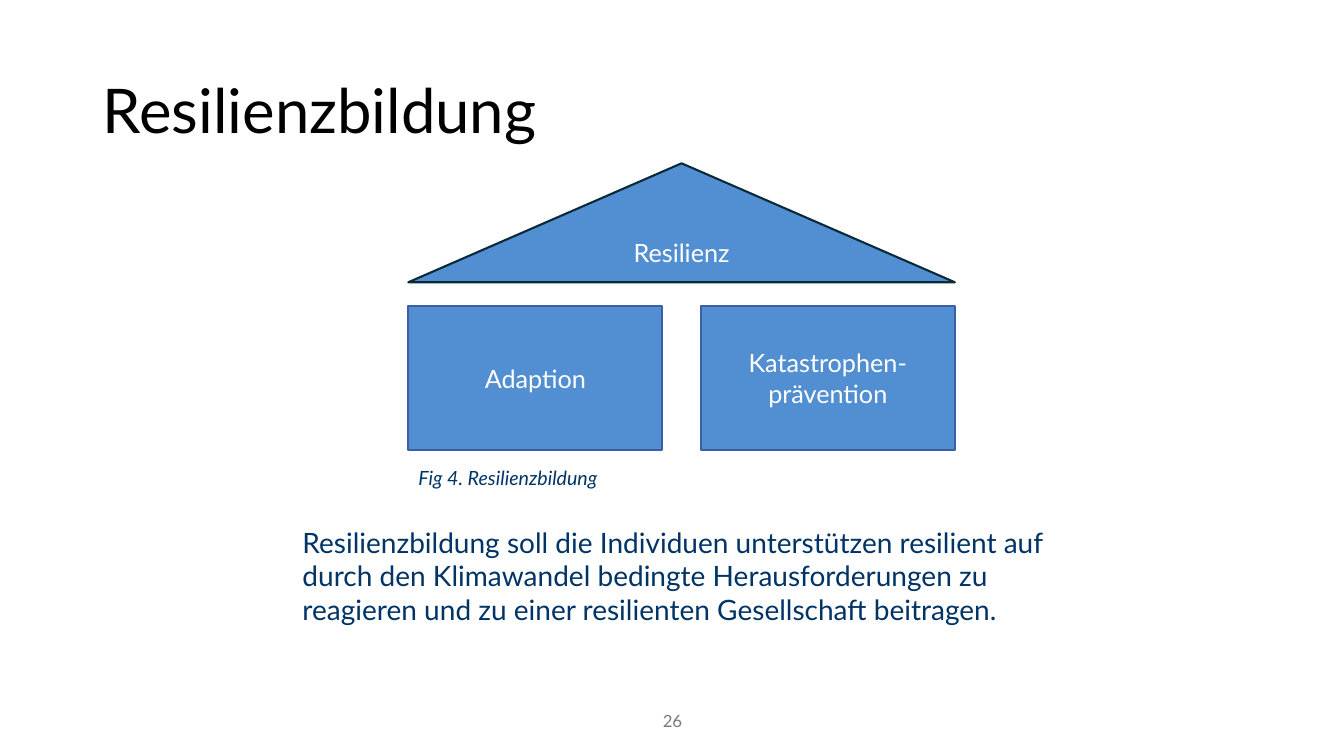
import pptx
import pptx.util
import pptx.dml.color
import pptx.enum.shapes
import pptx.enum.text

Inches = pptx.util.Inches
Pt = pptx.util.Pt
KIND = pptx.enum.shapes.MSO_SHAPE
ALIGN = pptx.enum.text.PP_ALIGN
ANCHOR = pptx.enum.text.MSO_ANCHOR

HUES = {
    "black": "000000", "white": "FFFFFF", "navy": "003366", "gray": "797979",
    "blue": "518FD2", "edge": "3C5EA6", "dark": "092A39",
}
FONT = "Lato"
BODY = (
    "Resilienzbildung soll die Individuen unterstützen resilient auf "
    "durch den Klimawandel bedingte Herausforderungen zu reagieren "
    "und zu einer resilienten Gesellschaft beitragen."
)
TEXTS = [
    ("Resilienzbildung", (0.92, 0.4, 11.5, 1.45), 44, "black", ALIGN.LEFT, ANCHOR.MIDDLE),
    (BODY, (2.7, 5.16, 8.11, 1.11), 20, "navy", ALIGN.LEFT, ANCHOR.TOP),
    ("26", (4.42, 6.95, 4.5, 0.4), 12, "gray", ALIGN.CENTER, ANCHOR.MIDDLE),
    ("Fig 4. Resilienzbildung", (4.05, 4.57, 4.09, 0.34), 14, "navy", ALIGN.LEFT, ANCHOR.TOP),
]
ROOF = "Resilienz"
WALLS = ["Adaption", "Katastrophen-prävention"]
LEFT, WIDE, GAP = 4.05, 2.52, 0.38
SPAN = len(WALLS) * WIDE + (len(WALLS) - 1) * GAP


def color(name):
    return pptx.dml.color.RGBColor.from_string(HUES[name])


def write(shape, text, size, hue, align, anchor):
    frame = shape.text_frame
    frame.word_wrap = True
    frame.vertical_anchor = anchor
    frame.text = text
    par = frame.paragraphs[0]
    par.alignment = align
    font = par.runs[0].font
    font.name = FONT
    font.size = Pt(size)
    font.color.rgb = color(hue)
    return par


def block(slide, kind, box, text, edge):
    shape = slide.shapes.add_shape(kind, *map(Inches, box))
    shape.shadow.inherit = False
    shape.fill.solid()
    shape.fill.fore_color.rgb = color("blue")
    shape.line.color.rgb = color(edge)
    shape.line.width = Pt(1.5)
    write(shape, text, 18, "white", ALIGN.CENTER, ANCHOR.MIDDLE)


def main():
    deck = pptx.Presentation()
    deck.slide_width, deck.slide_height = Inches(13.33), Inches(7.5)
    slide = deck.slides.add_slide(deck.slide_layouts[6])

    for i, text in enumerate(WALLS):
        left = LEFT + i * (WIDE + GAP)
        block(slide, KIND.RECTANGLE, (left, 3.04, WIDE, 1.42), text, "edge")
    block(slide, KIND.ISOSCELES_TRIANGLE, (LEFT, 1.62, SPAN, 1.18), ROOF, "dark")

    pars = []
    for text, box, *style in TEXTS:
        shape = slide.shapes.add_textbox(*map(Inches, box))
        pars.append(write(shape, text, *style))
        if text == BODY:
            shape.text_frame.margin_left = Inches(0.3)
    title, _, _, note = pars
    title.line_spacing = 0.9
    note.runs[0].font.italic = True

    deck.save("out.pptx")


if __name__ == "__main__":
    main()
